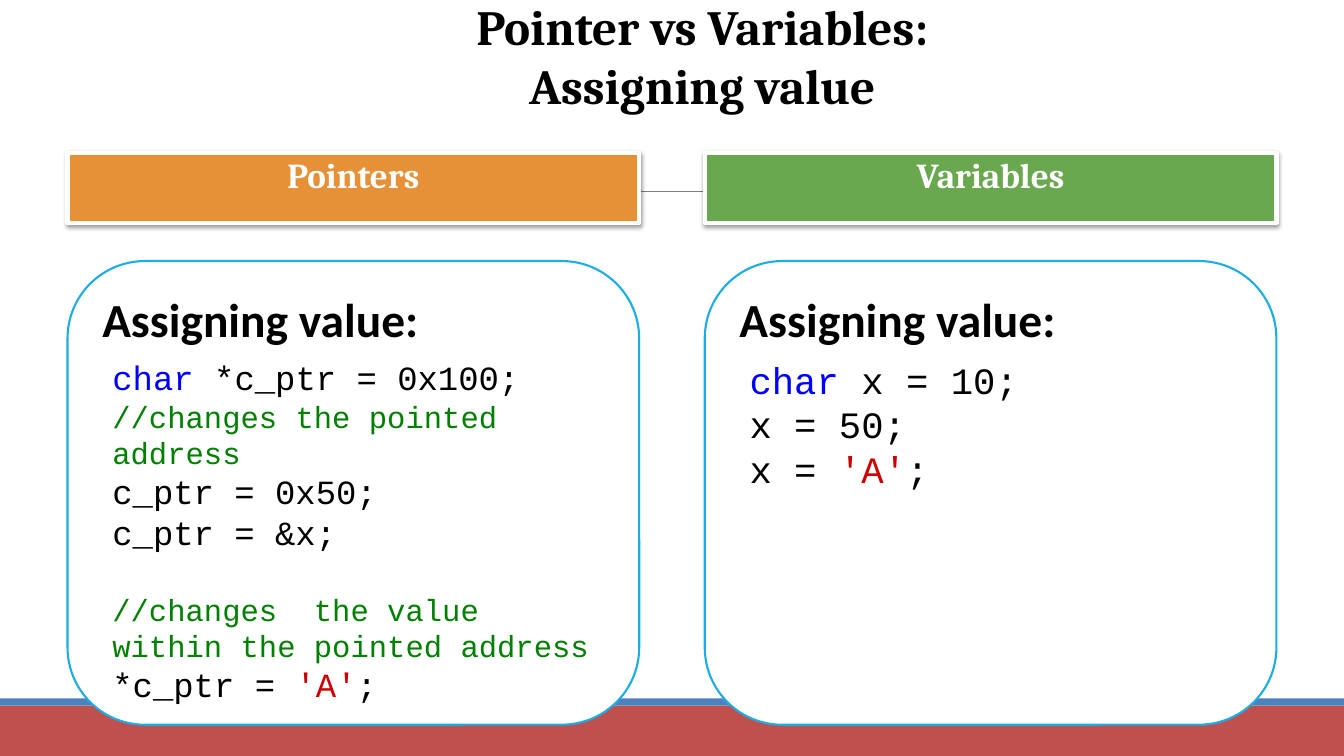
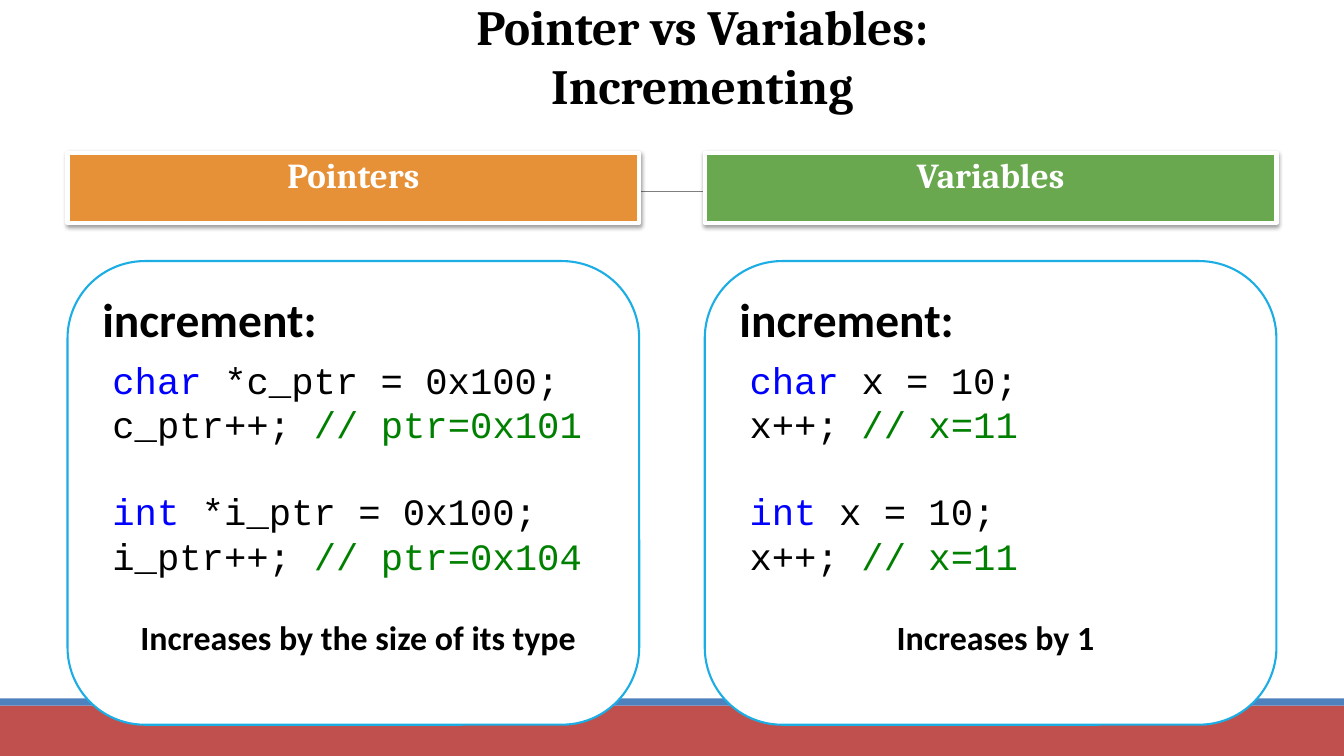
from lxml import etree
from pptx import Presentation
from pptx import util as u
from pptx.dml.color import RGBColor
from pptx.enum import shapes, text
from pptx.oxml import ns

COLOURS = {
    "band": "C0504D", "stripe": "4F81BD", "link": "7F7F7F",
    "pointers": "E69138", "variables": "6AA84F", "card": "1CADE4",
    "white": "FFFFFF", "plain": "000000", "keyword": "0000FF",
    "comment": "008000", "literal": "CC0000",
}
HEADING, CODE, TITLE = "Calibri", "Courier New", "Cambria"
CENTRE = text.PP_ALIGN.CENTER


def colour(name):
    return RGBColor.from_string(COLOURS[name])


def add_line(frame, spans, size, font=CODE, bold=False, align=text.PP_ALIGN.LEFT,
             before=0, spacing=1.0, indent=0.0):
    """Add a paragraph made of (colour name, words) spans."""
    para = frame.paragraphs[0] if not frame.text else frame.add_paragraph()
    para.alignment, para.line_spacing, para.space_before = align, spacing, u.Pt(before)
    properties = para._p.get_or_add_pPr()
    properties.set("marL", str(u.Inches(indent)))
    properties.set("indent", "0")
    for kind, words in spans:
        span = para.add_run()
        span.text = words
        span.font.size, span.font.name, span.font.bold = u.Pt(size), font, bold
        span.font.color.rgb = colour(kind)


# Content: each code line is (space before, size, spans)
SMALL, CODE_SIZE, LARGE = 21.8, 24.2, 26.6
HEAD_GAP, SMALL_GAP, LARGE_GAP = 7.3, 27.4, 30.1


def_lines = {
    "pointer_assign": [
        (HEAD_GAP, CODE_SIZE, [("keyword", "char"), ("plain", " *c_ptr = 0x100;")]),
        (0, SMALL, [("comment", "//changes the pointed address")]),
        (0, CODE_SIZE, [("plain", "c_ptr = 0x50;")]),
        (0, CODE_SIZE, [("plain", "c_ptr = &x;")]),
        (SMALL_GAP, SMALL, [("comment", "//changes  the value within the pointed address")]),
        (0, CODE_SIZE, [("plain", "*c_ptr = "), ("literal", "'A'"), ("plain", ";")]),
    ],
    "variable_assign": [
        (HEAD_GAP, LARGE, [("keyword", "char"), ("plain", " x = 10;")]),
        (0, LARGE, [("plain", "x = 50;")]),
        (0, LARGE, [("plain", "x = "), ("literal", "'A'"), ("plain", ";")]),
    ],
}
for key, declared, steps in [
    ("pointer_increment", ("*c_ptr = 0x100;", "*i_ptr = 0x100;"),
     (("c_ptr++;", " // ptr=0x101"), ("i_ptr++;", " // ptr=0x104"))),
    ("variable_increment", ("x = 10;", "x = 10;"), (("x++;", " // x=11"),) * 2),
]:
    def_lines[key] = []
    for gap, kind, value, (step, remark) in zip(
            (HEAD_GAP, LARGE_GAP), ("char ", "int "), declared, steps):
        def_lines[key] += [
            (gap, LARGE, [("keyword", kind), ("plain", value)]),
            (0, LARGE, [("plain", step), ("comment", remark)]),
        ]

SLIDES = [
    ("Assigning value", "Assigning value:",
     [("pointer_assign", None), ("variable_assign", None)]),
    ("Incrementing", "increment:",
     [("pointer_increment", "Increases by the size of its type"),
      ("variable_increment", "Increases by 1")]),
]

# Slide size and two-column grid
deck = Presentation()
deck.slide_width, deck.slide_height = u.Inches(13.33), u.Inches(7.5)
WIDTH, HEIGHT = deck.slide_width, deck.slide_height
MARGIN = u.Inches(0.67)
COLUMN = u.Inches(5.67)
COLUMNS = [MARGIN, WIDTH - MARGIN - COLUMN]
HEADER_TOP, HEADER_HEIGHT = u.Inches(1.52), u.Inches(0.69)
CARD_TOP, CARD_HEIGHT = u.Inches(2.59), u.Inches(4.6)
BAND_TOP, STRIPE_HEIGHT = u.Inches(7), u.Inches(0.07)

layout = deck.slide_layouts.get_by_name("Title Only")
pages = [deck.slides.add_slide(layout) for _ in SLIDES]

# Shared bands and link line, drawn once and moved to the layout
shared = []
for name, top, height in [("band", BAND_TOP, HEIGHT - BAND_TOP),
                          ("stripe", BAND_TOP - STRIPE_HEIGHT, STRIPE_HEIGHT)]:
    band = pages[0].shapes.add_shape(shapes.MSO_SHAPE.RECTANGLE, 0, top, WIDTH, height)
    band.shadow.inherit = False
    band.fill.solid()
    band.fill.fore_color.rgb = colour(name)
    band.line.fill.background()
    shared.append(band)
link_y = u.Inches(1.9)
link = pages[0].shapes.add_connector(
    shapes.MSO_CONNECTOR.STRAIGHT, u.Inches(1.31), link_y, u.Inches(12.21), link_y)
link.line.color.rgb, link.line.width = colour("link"), u.Pt(0.75)
etree.SubElement(link._element.spPr, ns.qn("a:effectLst"))
shared.append(link)
for item in shared:
    layout.shapes.element.append(item.element)

for page, (topic, heading, cards) in zip(pages, SLIDES):
    # Title
    title = page.shapes.title
    title.left, title.top = MARGIN, u.Inches(-0.04)
    title.width, title.height = WIDTH - 2 * MARGIN, u.Inches(1.18)
    frame = title.text_frame
    frame.auto_size = text.MSO_AUTO_SIZE.NONE
    frame.vertical_anchor = text.MSO_ANCHOR.MIDDLE
    frame.margin_left = frame.margin_right = frame.margin_top = frame.margin_bottom = 0
    for words in ("Pointer vs Variables:", topic):
        add_line(frame, [("plain", words)], 35.1, TITLE, True, CENTRE, indent=0.6)

    for left, label, (key, summary) in zip(COLUMNS, ("Pointers", "Variables"), cards):
        # Column header with a soft shadow
        header = page.shapes.add_shape(
            shapes.MSO_SHAPE.RECTANGLE, left, HEADER_TOP, COLUMN, HEADER_HEIGHT)
        header.shadow.inherit = False
        header.fill.solid()
        header.fill.fore_color.rgb = colour(label.lower())
        header.line.color.rgb, header.line.width = colour("white"), u.Pt(3)
        effects = header._element.spPr.find(ns.qn("a:effectLst"))
        shadow = etree.SubElement(
            effects, ns.qn("a:outerShdw"), blurRad=str(u.Pt(3.1)), dist=str(u.Pt(1.6)),
            dir="5400000", rotWithShape="0")
        shade = etree.SubElement(shadow, ns.qn("a:srgbClr"), val=COLOURS["plain"])
        etree.SubElement(shade, ns.qn("a:alpha"), val="37000")
        header.text_frame.vertical_anchor = text.MSO_ANCHOR.TOP
        add_line(header.text_frame, [("white", label)], 25, TITLE, True, CENTRE,
                 before=4, spacing=0.9)

        # Code card
        card = page.shapes.add_shape(
            shapes.MSO_SHAPE.ROUNDED_RECTANGLE, left, CARD_TOP, COLUMN, CARD_HEIGHT)
        card.shadow.inherit = False
        card.fill.solid()
        card.fill.fore_color.rgb = colour("white")
        card.line.color.rgb, card.line.width = colour("card"), u.Pt(1.5)
        frame = card.text_frame
        frame.word_wrap = True
        frame.vertical_anchor = text.MSO_ANCHOR.TOP
        frame.margin_left = frame.margin_right = u.Inches(0.12)
        frame.margin_top = frame.margin_bottom = u.Inches(0.06)
        add_line(frame, [("plain", heading)], 33.9, HEADING, True)
        for before, size, spans in def_lines[key]:
            add_line(frame, spans, size, before=before, indent=0.1)
        if summary:
            add_line(frame, [("plain", summary)], CODE_SIZE, HEADING, True, CENTRE,
                     before=SMALL_GAP, indent=0.1)

deck.save("out.pptx")
